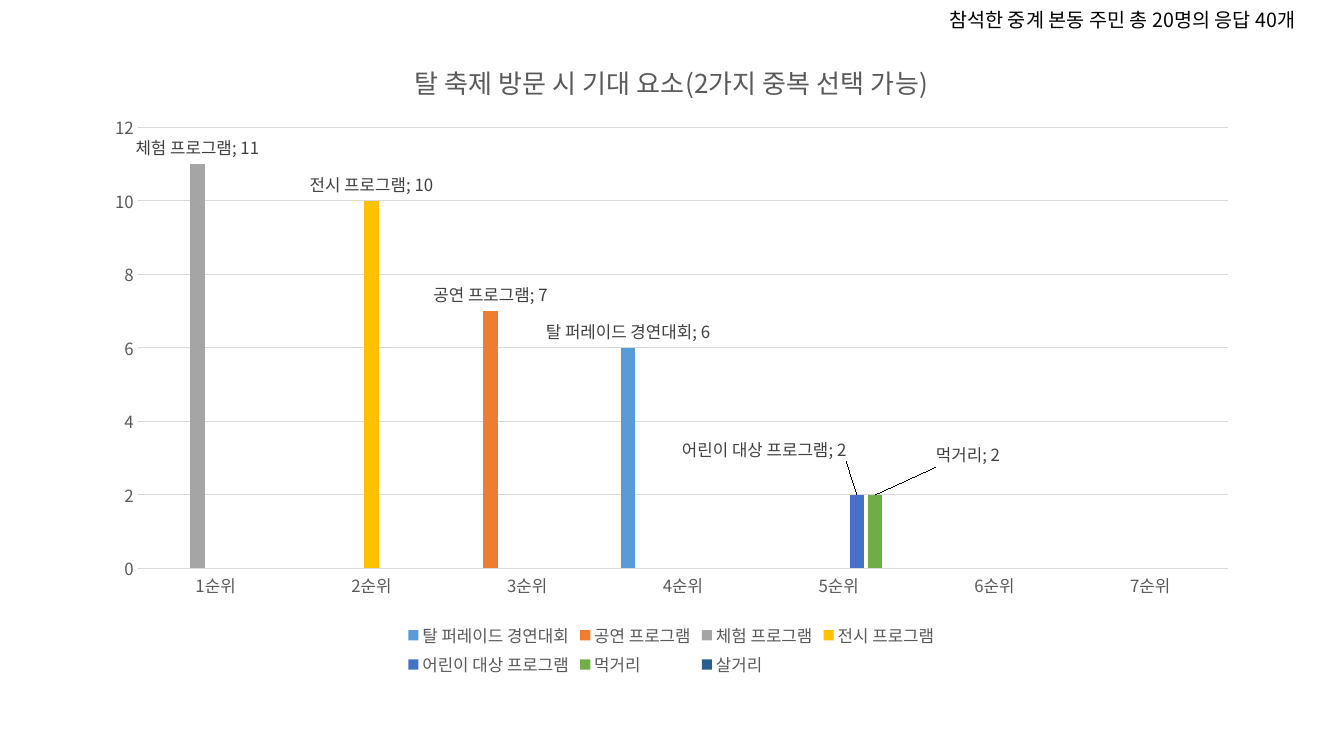
import pptx
import pptx.chart.data
import pptx.dml.color
import pptx.enum.chart
import pptx.enum.text
import pptx.oxml
import pptx.oxml.ns
import pptx.util

FONT = "Noto Sans CJK KR"
WIDTH, HEIGHT = 13.33, 7.5
GRAY, DARK, RULE = "595959", "404040", "D9D9D9"
TITLE = "탈 축제 방문 시 기대 요소(2가지 중복 선택 가능)"
RANKS = [f"{rank}순위" for rank in range(1, 8)]
# name, rank, votes, colour, label shift as shares of the chart
PROGRAMS = [
    ("탈 퍼레이드 경연대회", 4, 6, "5B9BD5", None),
    ("공연 프로그램", 3, 7, "ED7D31", None),
    ("체험 프로그램", 1, 11, "A5A5A5", None),
    ("전시 프로그램", 2, 10, "FFC000", None),
    ("어린이 대상 프로그램", 5, 2, "4472C4", (-0.08, -0.045)),
    ("먹거리", 5, 2, "70AD47", (0.08, -0.037)),
    ("살거리", None, None, "255E91", None),
]


def color(hex_value):
    return pptx.dml.color.RGBColor.from_string(hex_value)


def place(left, top, width, height):
    """Turn shares of the slide into lengths."""
    return [pptx.util.Inches(share * side) for share, side in
            ((left, WIDTH), (top, HEIGHT), (width, WIDTH), (height, HEIGHT))]


def style(font, size, hex_value):
    font.name, font.size, font.bold = FONT, pptx.util.Pt(size), False
    font.color.rgb = color(hex_value)


def write(frame, text, size, hex_value):
    span = frame.paragraphs[0].add_run()
    span.text = text
    style(span.font, size, hex_value)


def rule_line(line):
    line.color.rgb = color(RULE)
    line.width = pptx.util.Pt(0.75)


def manual_layout(**settings):
    namespace = pptx.oxml.ns.nsdecls("c")
    parts = "".join(f'<c:{key} val="{value}"/>' for key, value in settings.items())
    return pptx.oxml.parse_xml(
        f"<c:layout {namespace}><c:manualLayout>{parts}</c:manualLayout></c:layout>")


def find(element, tag):
    return element.find(pptx.oxml.ns.qn(tag))


def add_separator(element):
    separator = pptx.oxml.parse_xml(
        f'<c:separator {pptx.oxml.ns.nsdecls("c")}>; </c:separator>')
    find(element, "c:showBubbleSize").addnext(separator)


def label_series(series, rank, shift):
    outside = pptx.enum.chart.XL_LABEL_POSITION.OUTSIDE_END
    labels = series.data_labels
    labels.show_value = True
    labels.show_series_name = rank is not None
    labels.position = outside
    style(labels.font, 12, DARK)
    add_separator(labels._element)
    if shift:
        label = series.points[rank - 1].data_label
        label.position = outside
        style(label.font, 12, DARK)
        element = find(labels._element, "c:dLbl")
        find(element, "c:showSerName").set("val", "1")
        find(element, "c:idx").addnext(manual_layout(x=shift[0], y=shift[1]))
        add_separator(element)


def style_axes(chart):
    none = pptx.enum.chart.XL_TICK_MARK.NONE
    for axis in (chart.category_axis, chart.value_axis):
        axis.major_tick_mark = axis.minor_tick_mark = none
        style(axis.tick_labels.font, 12, GRAY)
    rule_line(chart.category_axis.format.line)
    votes = chart.value_axis
    votes.minimum_scale, votes.maximum_scale, votes.major_unit = 0, 12, 2
    votes.format.line.fill.background()
    rule_line(votes.major_gridlines.format.line)


def add_survey_chart(page, area):
    data = pptx.chart.data.CategoryChartData()
    data.categories = RANKS
    for name, rank, votes, _, _ in PROGRAMS:
        data.add_series(name, [votes if place_number == rank else None
                               for place_number in range(1, len(RANKS) + 1)])
    kind = pptx.enum.chart.XL_CHART_TYPE.COLUMN_CLUSTERED
    chart = page.shapes.add_chart(kind, *area, data).chart
    style(chart.font, 10, "000000")
    write(chart.chart_title.text_frame, TITLE, 18.6, GRAY)
    chart.chart_title.include_in_layout = False

    plot = chart.plots[0]
    plot.gap_width, plot.overlap, plot.vary_by_categories = 219, -27, False
    for series, (_, rank, _, fill, shift) in zip(plot.series, PROGRAMS):
        series.format.fill.solid()
        series.format.fill.fore_color.rgb = color(fill)
        label_series(series, rank, shift)
    style_axes(chart)

    chart.has_legend = True
    chart.legend.position = pptx.enum.chart.XL_LEGEND_POSITION.BOTTOM
    chart.legend.include_in_layout = False
    style(chart.legend.font, 12, GRAY)

    plot_area = chart._chartSpace.chart.plotArea
    automatic = find(plot_area, "c:layout")
    if automatic is not None:
        plot_area.remove(automatic)
    plot_area.insert(0, manual_layout(layoutTarget="inner", xMode="edge", yMode="edge",
                                      x=0.04, y=0.14, w=0.94, h=0.685))


def add_note(page, area, text):
    frame = page.shapes.add_textbox(*area).text_frame
    frame.word_wrap = False
    frame.auto_size = pptx.enum.text.MSO_AUTO_SIZE.SHAPE_TO_FIT_TEXT
    write(frame, text, 14, "000000")


def main():
    deck = pptx.Presentation()
    deck.slide_width = pptx.util.Inches(WIDTH)
    deck.slide_height = pptx.util.Inches(HEIGHT)
    page = deck.slides.add_slide(deck.slide_layouts[6])
    add_survey_chart(page, place(0.068, 0.049, 0.863, 0.852))
    add_note(page, place(0.699, 0.004, 0.314, 0.045),
             "참석한 중계 본동 주민 총 20명의 응답 40개")
    deck.save("out.pptx")


if __name__ == "__main__":
    main()
